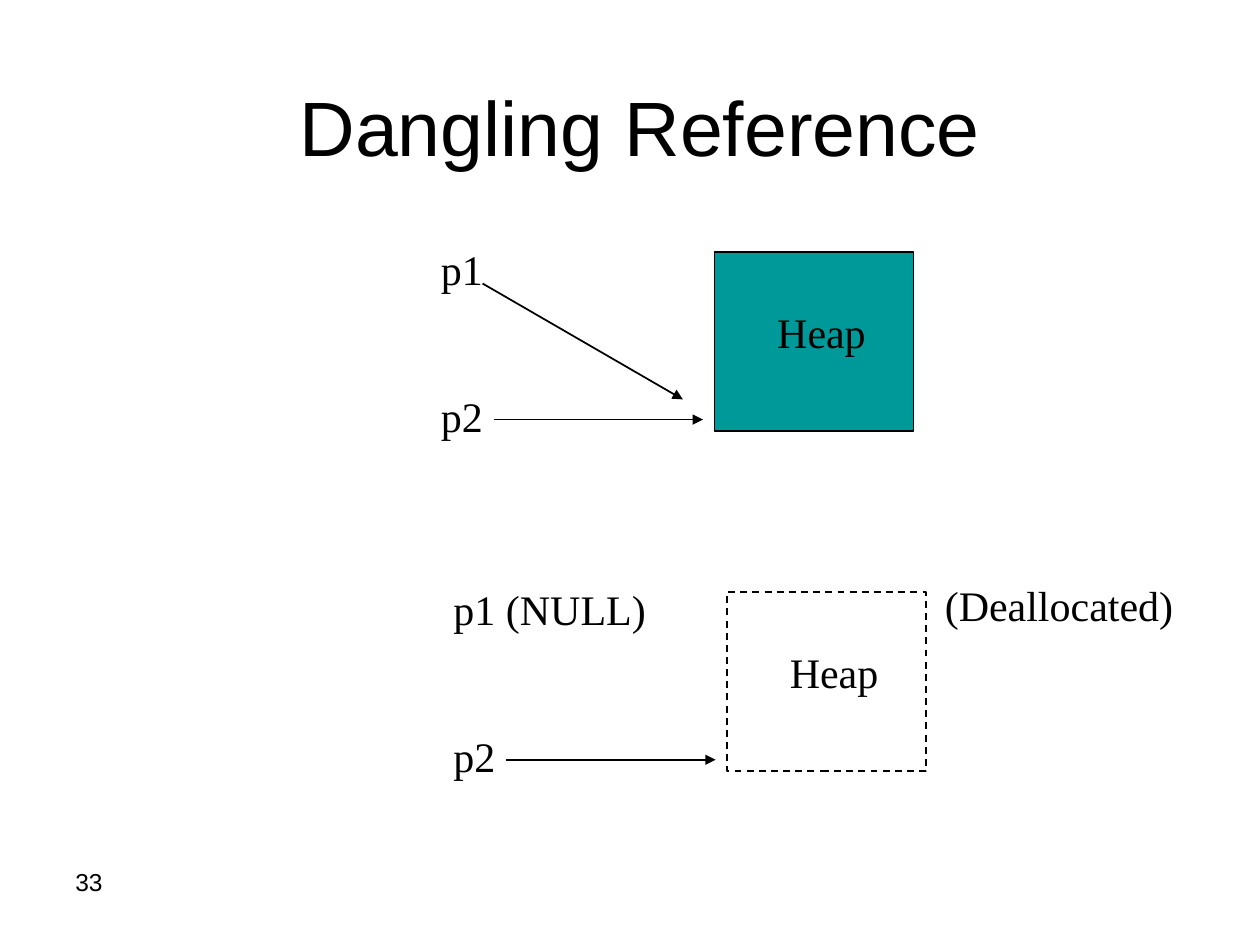
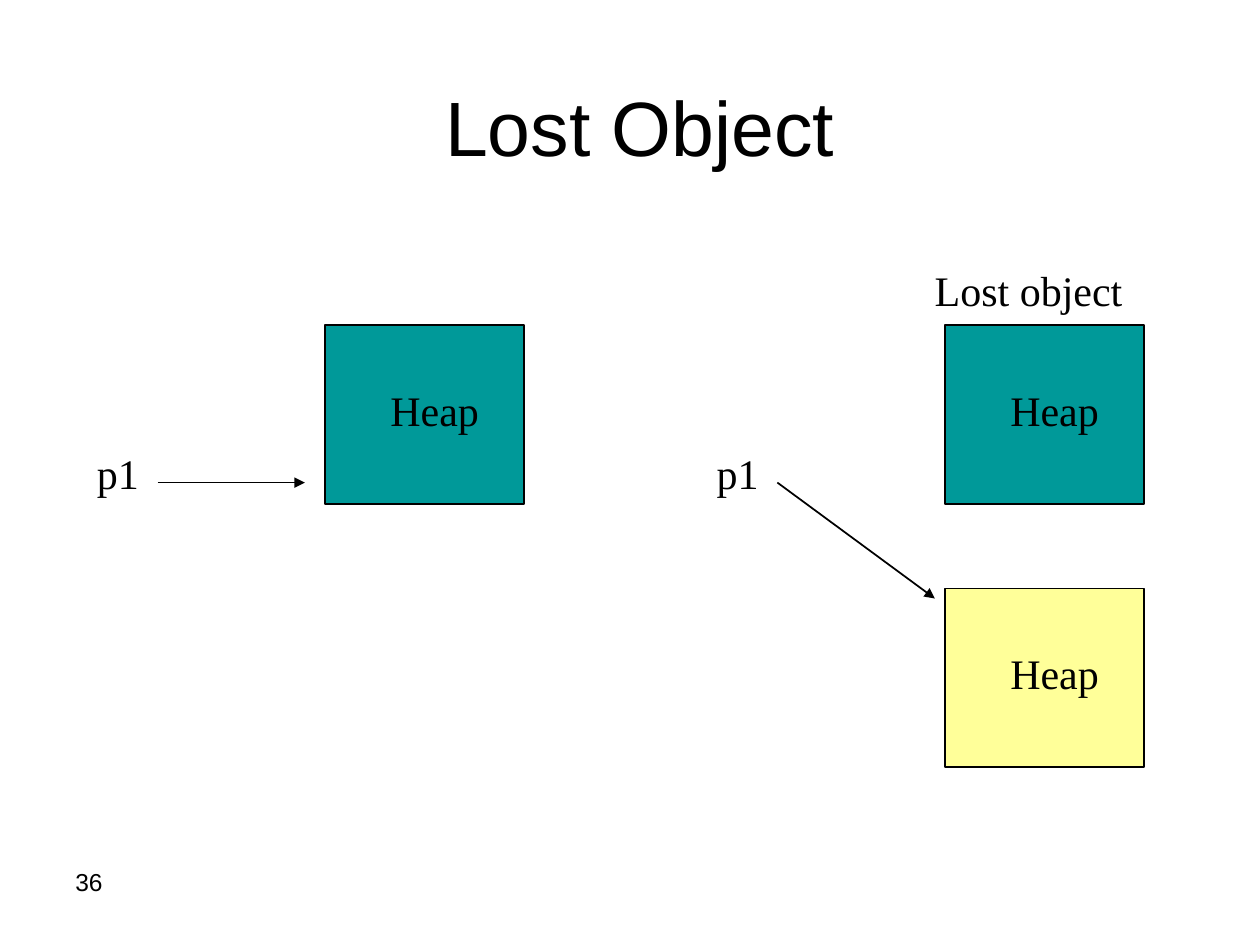
from lxml.etree import SubElement
from pptx import Presentation
from pptx.dml.color import RGBColor
from pptx.enum.dml import MSO_LINE
from pptx.enum.shapes import MSO_CONNECTOR, MSO_SHAPE
from pptx.enum.text import MSO_ANCHOR, MSO_AUTO_SIZE, PP_ALIGN
from pptx.oxml.ns import qn
from pptx.util import Inches, Pt

COLORS = {"ink": "000000", "live": "009999", "new": "FFFF99"}
FORMATS = {
    "title": {"name": "Arial", "size": Pt(44)},
    "label": {"name": "Times New Roman", "size": Pt(24)},
    "number": {"name": "Arial", "size": Pt(14)},
}
HEAP_WIDTH, HEAP_HEIGHT = 1.58, 1.42
LABEL_HEIGHT = 0.5
POINTER_WIDTH = 0.53


def set_attributes(target, values):
    for name, value in values.items():
        setattr(target, name, value)


class SlideBuilder:
    def __init__(self, presentation):
        self.presentation = presentation
        self.slide = None

    def color(self, name):
        return RGBColor.from_string(COLORS[name])

    def start(self, title, number):
        layout = self.presentation.slide_layouts[6]
        self.slide = self.presentation.slides.add_slide(layout)
        self.text(title, 0.83, 0.58, 8.5, 0.83, "title",
                  {"word_wrap": True, "vertical_anchor": MSO_ANCHOR.MIDDLE},
                  PP_ALIGN.CENTER)
        self.text(number, 0.5, 6.83, 2.33, 0.52, "number")

    def text(self, content, left, top, width, height, style,
             frame_values=None, alignment=PP_ALIGN.LEFT):
        box = self.slide.shapes.add_textbox(
            Inches(left), Inches(top), Inches(width), Inches(height))
        set_attributes(box.text_frame, frame_values or {"word_wrap": True})
        paragraph = box.text_frame.paragraphs[0]
        paragraph.alignment = alignment
        run = paragraph.add_run()
        run.text = content
        set_attributes(run.font, FORMATS[style])
        run.font.color.rgb = self.color("ink")

    def label(self, content, left, top, width=POINTER_WIDTH):
        self.text(content, left, top, width, LABEL_HEIGHT, "label",
                  {"word_wrap": False,
                   "auto_size": MSO_AUTO_SIZE.SHAPE_TO_FIT_TEXT})

    def heap(self, left, top, fill, label_offset):
        shape = self.slide.shapes.add_shape(
            MSO_SHAPE.RECTANGLE, Inches(left), Inches(top),
            Inches(HEAP_WIDTH), Inches(HEAP_HEIGHT))
        shape.shadow.inherit = False
        self.outline(shape.line)
        if fill:
            shape.fill.solid()
            shape.fill.fore_color.rgb = self.color(fill)
        else:
            shape.fill.background()
            shape.line.dash_style = MSO_LINE.DASH
        across, down = label_offset
        self.label("Heap", left + across, top + down, 0.9)

    def arrow(self, start_x, start_y, end_x, end_y):
        connector = self.slide.shapes.add_connector(
            MSO_CONNECTOR.STRAIGHT, Inches(start_x), Inches(start_y),
            Inches(end_x), Inches(end_y))
        self.outline(connector.line)
        properties = connector.element.spPr
        SubElement(properties.find(qn("a:ln")), qn("a:tailEnd"), type="triangle")
        SubElement(properties, qn("a:effectLst"))

    def outline(self, line):
        line.width = Pt(1)
        line.color.rgb = self.color("ink")


def build_dangling_reference(builder):
    builder.start("Dangling Reference", "33")
    scenes = [
        (3.4, 1.88, "p1", POINTER_WIDTH, "live"),
        (3.5, 4.58, "p1 (NULL)", 1.76, None),
    ]
    for left, top, first_pointer, width, fill in scenes:
        builder.heap(left + 2.27, top + 0.12, fill, (0.4, 0.38))
        builder.label(first_pointer, left, top, width)
        builder.label("p2", left, top + 1.17)
        builder.arrow(left + 0.52, top + 1.45, left + 2.18, top + 1.45)
    builder.arrow(3.83, 2.25, 5.42, 3.17)
    builder.label("(Deallocated)", 7.4, 4.55, 2.05)


def build_lost_object(builder):
    builder.start("Lost Object", "36")
    label_offset = (0.42, 0.42)
    scenes = [(0.67, 2.42, 3.83), (5.59, 7.42, 4.75)]
    for left, arrow_end_x, arrow_end_y in scenes:
        builder.heap(left + 1.91, 2.58, "live", label_offset)
        builder.label("p1", left, 3.5)
        builder.arrow(left + 0.58, 3.83, arrow_end_x, arrow_end_y)
    builder.heap(7.5, 4.67, "new", label_offset)
    builder.label("Lost object", 7.32, 2.05, 1.69)


def main():
    presentation = Presentation()
    presentation.slide_width = Inches(10)
    presentation.slide_height = Inches(7.5)
    builder = SlideBuilder(presentation)
    build_dangling_reference(builder)
    build_lost_object(builder)
    presentation.save("out.pptx")


if __name__ == "__main__":
    main()
